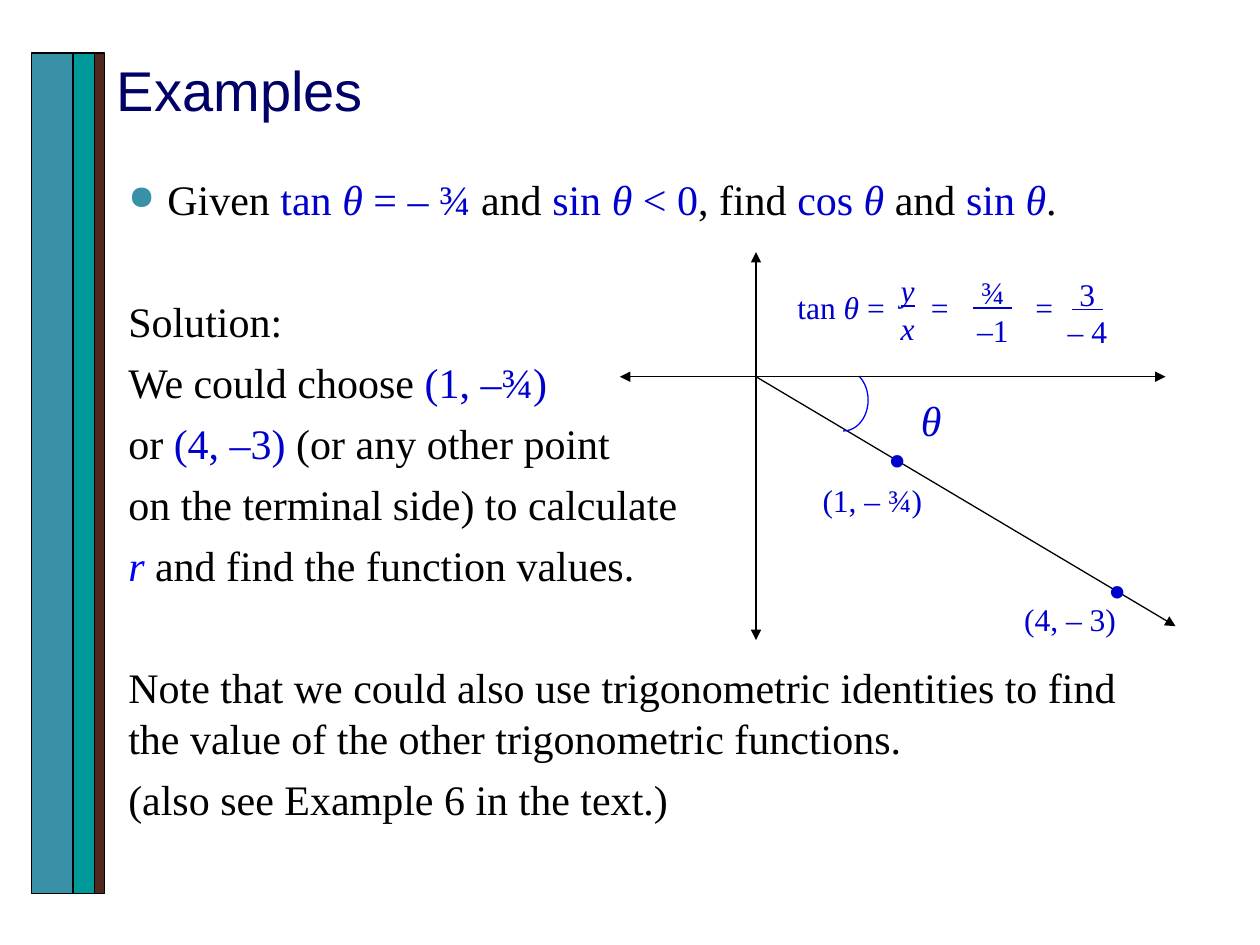
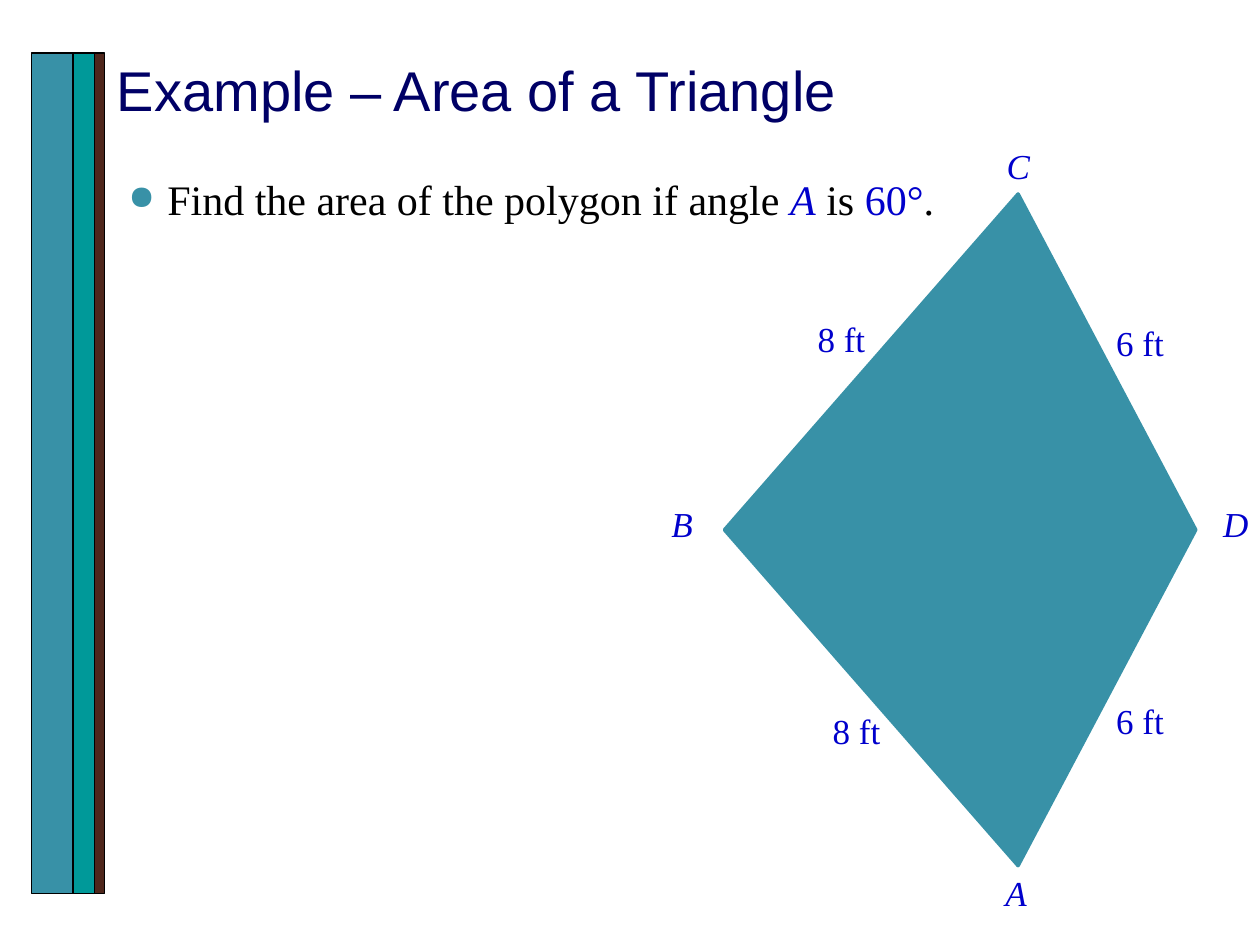
from lxml import etree
from pptx import Presentation
from pptx.dml.color import RGBColor
from pptx.enum.shapes import MSO_CONNECTOR, MSO_SHAPE
from pptx.enum.text import MSO_ANCHOR, PP_ALIGN
from pptx.oxml.ns import qn
from pptx.util import Inches, Pt

LINE = MSO_CONNECTOR.STRAIGHT
RECT, ARC, WEDGE = MSO_SHAPE.RECTANGLE, MSO_SHAPE.ARC, MSO_SHAPE.ISOSCELES_TRIANGLE
MIDDLE, TOP = MSO_ANCHOR.MIDDLE, MSO_ANCHOR.TOP
LEFT, CENTER = PP_ALIGN.LEFT, PP_ALIGN.CENTER

BLACK = RGBColor(0x00, 0x00, 0x00)
NAVY = RGBColor(0x00, 0x00, 0x66)
BLUE = RGBColor(0x00, 0x00, 0xCC)
BRIGHT = RGBColor(0x00, 0x00, 0xFF)
TEAL = RGBColor(0x38, 0x91, 0xA7)
GREEN = RGBColor(0x00, 0x99, 0x99)
BROWN = RGBColor(0x4F, 0x27, 0x1C)

HEAD, SERIF = "Arial", "Times New Roman"
BANDS = [(0.25, 0.5, TEAL), (0.58, 0.17, GREEN), (0.75, 0.08, BROWN)]
LINE_GAP, BLOCK_GAP = 6, 41


class Deck:
    """Draws styled elements on the current slide."""

    def __init__(self):
        self.prs = Presentation()
        self.prs.slide_width, self.prs.slide_height = Inches(10), Inches(7.5)
        self.slide = None

    def page(self, title):
        self.slide = self.prs.slides.add_slide(self.prs.slide_layouts[6])
        for left, width, color in BANDS:
            self.shape(RECT, (left, 0.42, width, 6.67), color, BLACK)
        frame = self.frame((0.83, 0.08, 8.2, 1.25), True, MIDDLE)
        self.fill(frame.paragraphs[0], title, 32, NAVY, HEAD)

    def shape(self, kind, area, fill, color, weight=0.75):
        shape = self.slide.shapes.add_shape(kind, *map(Inches, area))
        shape.shadow.inherit = False
        if fill is None:
            shape.fill.background()
        else:
            shape.fill.solid()
            shape.fill.fore_color.rgb = fill
        shape.line.color.rgb = color
        shape.line.width = Pt(weight)
        return shape

    def arrow(self, start, end, both=True):
        line = self.slide.shapes.add_connector(LINE, *map(Inches, start + end))
        line.line.color.rgb = BLACK
        line.line.width = Pt(0.75)
        ends = ("headEnd", "tailEnd") if both else ("tailEnd",)
        for name in ends:
            etree.SubElement(line.line._get_or_add_ln(), qn("a:" + name), type="triangle")
        etree.SubElement(line._element.spPr, qn("a:effectLst"))

    def frame(self, area, wrap=False, anchor=TOP):
        frame = self.slide.shapes.add_textbox(*map(Inches, area)).text_frame
        frame.word_wrap = wrap
        frame.vertical_anchor = anchor
        return frame

    def fill(self, para, text, size, color, face=SERIF):
        """Fills a paragraph: bars enclose blue parts, underscores italic ones."""
        para.font.name, para.font.size = face, Pt(size)
        para.font.color.rgb = color
        for i, part in enumerate(text.split("|")):
            for j, piece in enumerate(part.split("_")):
                if piece:
                    run = para.add_run()
                    run.text = piece
                    if i % 2:
                        run.font.color.rgb = BLUE
                    if j % 2:
                        run.font.italic = True

    def label(self, text, area, size):
        self.fill(self.frame(area).paragraphs[0], text, size, BLUE)

    def ratio(self, top, base, area, align=CENTER):
        frame = self.frame(area)
        for para, text in ((frame.paragraphs[0], top), (frame.add_paragraph(), base)):
            para.alignment = align
            self.fill(para, text, 18, BLUE)
        frame.paragraphs[0].font.underline = True

    def body(self, task, lines=()):
        frame = self.frame((0.83, 1.33, 8.2, 5.25), True)
        para = frame.paragraphs[0]
        self.bullet(para)
        self.fill(para, task, 24, BLACK)
        for gap, text in lines:
            para = frame.add_paragraph()
            para._p.get_or_add_pPr().set("marL", str(Inches(0.09)))
            para.space_before = Pt(gap)
            self.fill(para, text, 24, BLACK)
        return frame

    def bullet(self, para):
        props = para._p.get_or_add_pPr()
        props.set("marL", str(Inches(0.4)))
        props.set("indent", str(Inches(-0.31)))
        tint = etree.SubElement(props, qn("a:buClr"))
        etree.SubElement(tint, qn("a:srgbClr"), val=str(TEAL))
        etree.SubElement(props, qn("a:buSzPct"), val="80000")
        etree.SubElement(props, qn("a:buChar"), char="●")


def draw_angle(deck):
    deck.page("Examples")
    deck.arrow((6, 2.99), (9.33, 4.97), both=False)
    frame = deck.body(
        "Given |tan _θ_ = – ¾| and |sin _θ_ < 0|, find |cos _θ_| and |sin _θ_|.",
        [
            (BLOCK_GAP, "Solution:"),
            (LINE_GAP, "We could choose |(1, –¾)|"),
            (LINE_GAP, "or |(4, –3)| (or any other point"),
            (LINE_GAP, "on the terminal side) to calculate"),
            (LINE_GAP, "|_r_| and find the function values."),
            (BLOCK_GAP, "Note that we could also use trigonometric identities to find "
                        "the value of the other trigonometric functions."),
            (LINE_GAP, "(also see Example 6 in the text.)"),
        ],
    )
    frame.paragraphs[5].runs[0].font.color.rgb = BRIGHT

    arc = deck.shape(ARC, (6.5, 2.93, 0.39, 0.49), None, BRIGHT)
    arc.adjustments[0], arc.adjustments[1] = 181.8, 54.6
    deck.label("_θ_", (7.21, 3.08, 0.46, 0.5), 24)
    deck.arrow((4.92, 2.99), (9.25, 2.99))
    deck.arrow((6, 5.08), (6, 2))
    for dot, text, area in (
        ((6.92, 2.82), "(1, – ¾)", (6.43, 3.77, 1, 0.4)),
        ((8.67, 3.86), "(4, – 3)", (8.03, 4.71, 0.94, 0.4)),
    ):
        deck.label(".", dot + (0.41, 1.11), 60)
        deck.label(text, area, 18)

    for text, left, width in (("tan _θ_ =", 6.23, 0.9), ("=", 7.29, 0.34), ("=", 8.12, 0.34)):
        deck.label(text, (left, 2.24, width, 0.4), 18)
    deck.ratio("_y_", "_x_", (7.05, 2.1, 0.31, 0.71), LEFT)
    deck.ratio(" ¾ ", "–1", (7.62, 2.12, 0.52, 0.71))
    deck.ratio(" 3 ", "– 4", (8.37, 2.13, 0.52, 0.71))


def draw_area(deck):
    deck.page("Example – Area of a Triangle")
    deck.body("Find the area of the polygon if angle |_A_ |is |60°|.")
    for name, left, top in (("A", 7.88, 6.87), ("B", 5.23, 3.94),
                            ("C", 7.89, 1.1), ("D", 9.61, 3.94)):
        deck.label(f"_{name}_", (left, top, 0.38, 0.44), 20)
    for side, left, top in (("8 ft", 6.51, 5.58), ("8 ft", 6.39, 2.47),
                            ("6 ft", 8.76, 2.5), ("6 ft", 8.76, 5.5)):
        deck.label(side, (left, top, 0.58, 0.44), 20)
    for area, turn in (((4.25, 3.04, 5.33, 2.33), 270), ((6.12, 3.5, 5.33, 1.41), 90)):
        deck.shape(WEDGE, area, TEAL, TEAL, 2).rotation = turn


def main():
    deck = Deck()
    draw_angle(deck)
    draw_area(deck)
    deck.prs.save("out.pptx")


if __name__ == "__main__":
    main()
